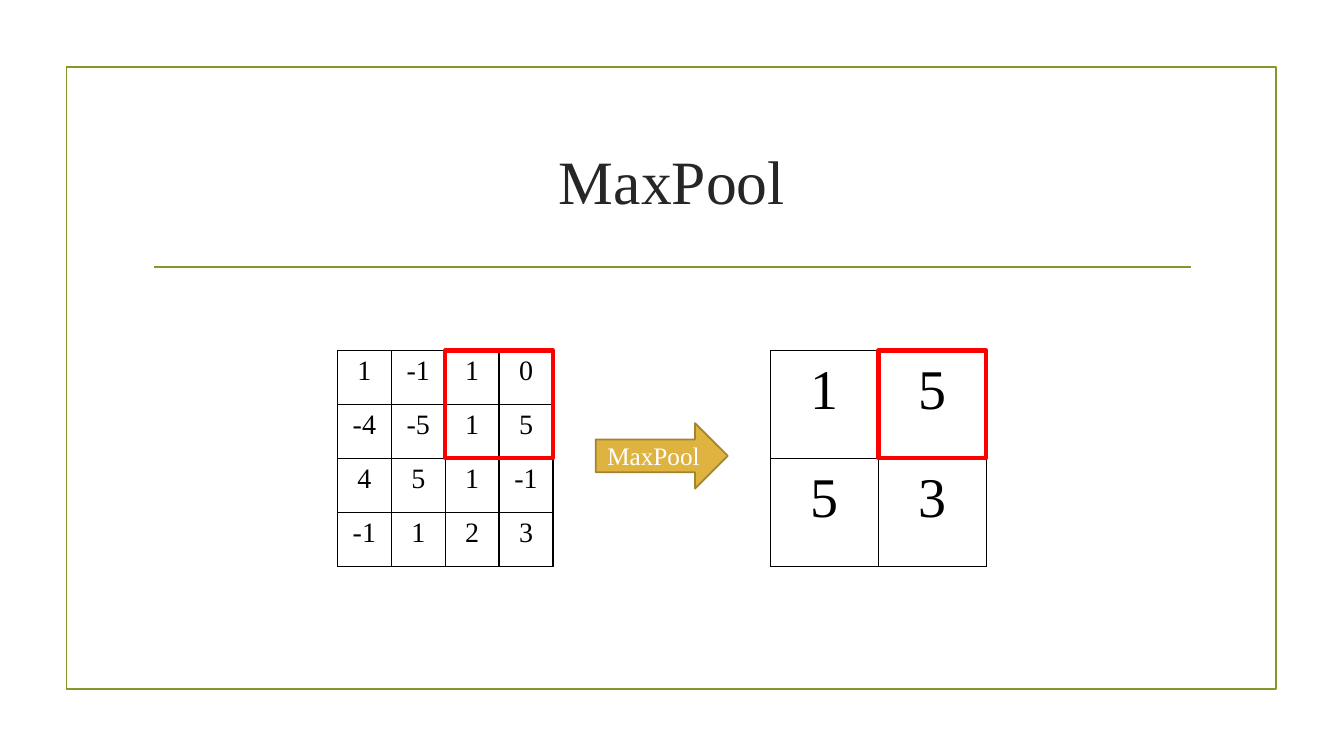
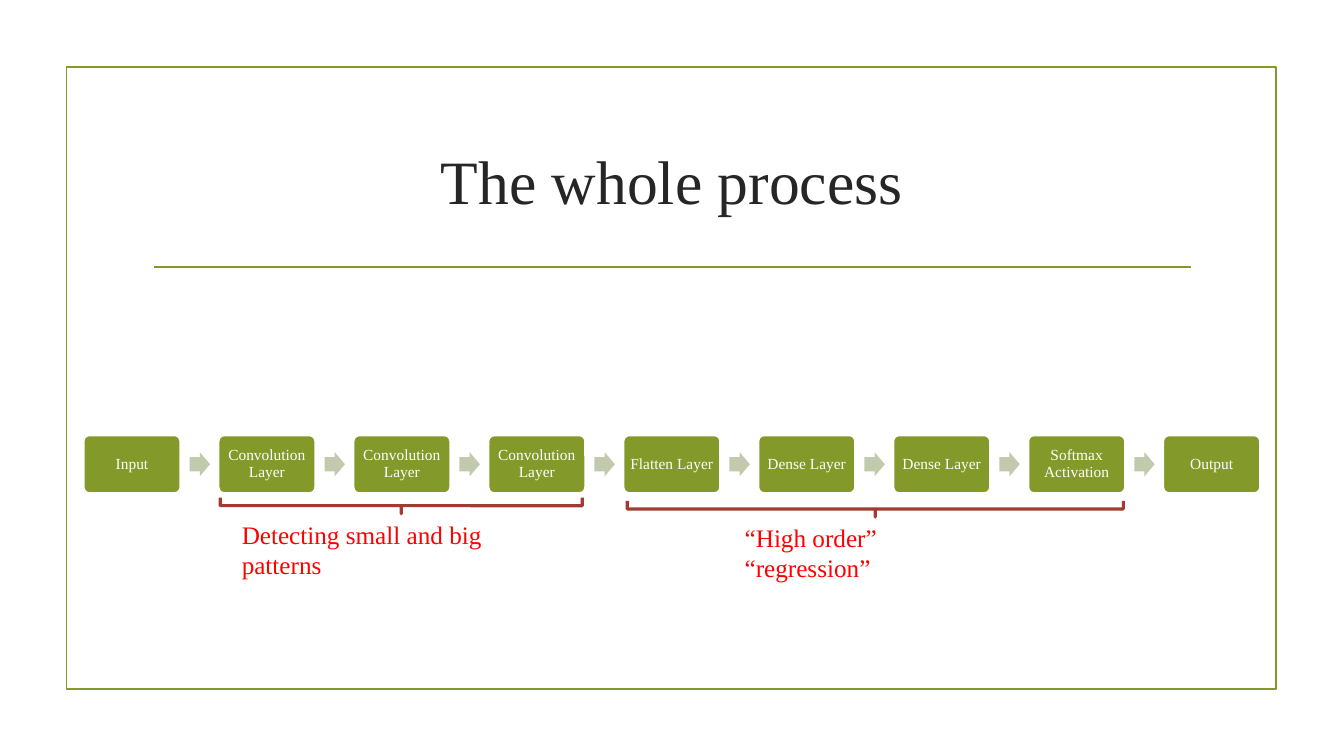
from dataclasses import dataclass

import pptx
import pptx.dml.color
import pptx.enum.shapes
import pptx.enum.text
import pptx.oxml
import pptx.oxml.ns
import pptx.util

Pt = pptx.util.Pt
KIND = pptx.enum.shapes.MSO_SHAPE
ALIGN = pptx.enum.text.PP_ALIGN
MID = pptx.enum.text.MSO_ANCHOR.MIDDLE

# Shared look
FACE = "Times New Roman"
GREEN, PALE, GOLD, BRONZE = "83992A", "C1CAAD", "DEB340", "A4842F"
RED, RUST, INK, BLACK, WHITE = "FF0000", "A23C33", "262626", "000000", "FFFFFF"


@dataclass
class Box:
    left: float
    top: float
    width: float
    height: float

    def lengths(self) -> tuple:
        return Pt(self.left), Pt(self.top), Pt(self.width), Pt(self.height)


@dataclass
class Grid:
    left: float
    top: float
    cell: float
    size: int
    pad: tuple
    rows: list


@dataclass
class Brace:
    mid: float
    top: float
    span: float
    note: str
    area: Box


def color(code: str) -> pptx.dml.color.RGBColor:
    return pptx.dml.color.RGBColor.from_string(code)


def write(frame, text: str, size: int, code: str, align=ALIGN.CENTER):
    """Put one styled paragraph into a text frame."""
    frame.word_wrap = True
    para = frame.paragraphs[0]
    para.text = text
    para.alignment = align
    para.font.name = FACE
    para.font.size = Pt(size)
    para.font.color.rgb = color(code)
    return para


def label(slide, box: Box, text: str, size: int, code: str, align=ALIGN.CENTER):
    frame = slide.shapes.add_textbox(*box.lengths()).text_frame
    write(frame, text, size, code, align)
    return frame


def shape(slide, kind, box: Box, fill: str = "", line: str = "", weight: float = 1.25):
    item = slide.shapes.add_shape(kind, *box.lengths())
    item.shadow.inherit = False
    if fill:
        item.fill.solid()
        item.fill.fore_color.rgb = color(fill)
    else:
        item.fill.background()
    if line:
        item.line.color.rgb = color(line)
        item.line.width = Pt(weight)
    else:
        item.line.fill.background()
    return item


def start(deck, title: str):
    """Add a slide with its frame, rule and title."""
    slide = deck.slides.add_slide(deck.slide_layouts[6])
    shape(slide, KIND.RECTANGLE, Box(47.6, 48, 864, 444.4), line=GREEN)
    rule = slide.shapes.add_connector(
        pptx.enum.shapes.MSO_CONNECTOR.STRAIGHT, Pt(110), Pt(190.8), Pt(850.4), Pt(190.8))
    rule.line.color.rgb = color(GREEN)
    rule.line.width = Pt(1.25)
    props = rule._element.spPr
    props.append(props.makeelement(pptx.oxml.ns.qn("a:effectLst"), {}))
    frame = label(slide, Box(102, 77, 756, 103), title, 44, INK)
    frame.vertical_anchor = MID
    return slide


def edge(cell) -> None:
    """Give a cell thin black borders, placed ahead of its fill."""
    props = cell._tc.get_or_add_tcPr()
    for spot, side in enumerate(("lnL", "lnR", "lnT", "lnB")):
        props.insert(spot, pptx.oxml.parse_xml(
            f'<a:{side} {pptx.oxml.ns.nsdecls("a")} w="12700"><a:solidFill>'
            f'<a:srgbClr val="{BLACK}"/></a:solidFill></a:{side}>'))


def matrix(slide, grid: Grid) -> None:
    count = len(grid.rows)
    side = grid.cell * count
    box = Box(grid.left, grid.top, side, side)
    table = slide.shapes.add_table(count, count, *box.lengths()).table
    table.first_row = table.horz_banding = False
    for i, row in enumerate(grid.rows):
        table.rows[i].height = table.columns[i].width = Pt(grid.cell)
        for j, value in enumerate(row):
            cell = table.cell(i, j)
            cell.margin_left = cell.margin_right = Pt(grid.pad[0])
            cell.margin_top = cell.margin_bottom = Pt(grid.pad[1])
            cell.fill.solid()
            cell.fill.fore_color.rgb = color(WHITE)
            write(cell.text_frame, str(value), grid.size, BLACK)
            edge(cell)


def mark(slide, grid: Grid) -> None:
    """Outline the top right quarter of a grid in red."""
    half = grid.cell * len(grid.rows) / 2
    shape(slide, KIND.RECTANGLE, Box(grid.left + half, grid.top, half, half),
          line=RED, weight=3)


def pool(deck) -> None:
    slide = start(deck, "MaxPool")
    source = Grid(241, 250.4, 38.5, 20, (6.5, 3.6),
                  [[1, -1, 1, 0], [-4, -5, 1, 5], [4, 5, 1, -1], [-1, 1, 2, 3]])
    result = Grid(550.5, 250.4, 77, 40, (13, 6.5), [[1, 5], [5, 3]])
    for grid in (source, result):
        matrix(slide, grid)
        mark(slide, grid)
    arrow = shape(slide, KIND.RIGHT_ARROW, Box(425.5, 302.2, 94.4, 46.8), GOLD, BRONZE)
    arrow.text_frame.vertical_anchor = MID
    write(arrow.text_frame, "MaxPool", 18, WHITE)


def process(deck) -> None:
    slide = start(deck, "The whole process")

    # Chain of layers
    steps = (["Input"] + ["Convolution Layer"] * 3 + ["Flatten Layer"]
             + ["Dense Layer"] * 2 + ["Softmax Activation", "Output"])
    left, pitch, mid = 59.8, 96.4, 331.6
    for i, name in enumerate(steps):
        spot = left + i * pitch
        card = shape(slide, KIND.ROUNDED_RECTANGLE,
                     Box(spot, mid - 20.6, 69, 41.2), GREEN, WHITE)
        card.adjustments[0] = 0.1
        frame = card.text_frame
        frame.margin_left = frame.margin_right = Pt(2.8)
        frame.margin_top = frame.margin_bottom = Pt(3.6)
        frame.vertical_anchor = MID
        write(frame, name, 11, WHITE).line_spacing = 0.9
        if i < len(steps) - 1:
            arrow = shape(slide, KIND.RIGHT_ARROW,
                          Box(spot + 75.6, mid - 8.6, 14.6, 17.2), PALE)
            arrow.adjustments[0] = 0.6

    # Braces and their notes
    thick = 11.6
    for brace in (
        Brace(286.6, 355.4, 258.6, "Detecting small and big patterns",
              Box(165.6, 367.2, 240, 50)),
        Brace(625.2, 357.8, 354.4, "“High order” “regression”",
              Box(524.8, 369.6, 198, 50)),
    ):
        box = Box(brace.mid - thick / 2, brace.top + (thick - brace.span) / 2,
                  thick, brace.span)
        item = shape(slide, KIND.RIGHT_BRACE, box, line=RUST, weight=2.25)
        item.rotation = 90
        item.adjustments[0] = 0
        item.adjustments[1] = 0.5
        label(slide, brace.area, brace.note, 18, RED, ALIGN.LEFT)


def main() -> None:
    deck = pptx.Presentation()
    deck.slide_width, deck.slide_height = Pt(960), Pt(540)
    pool(deck)
    process(deck)
    deck.save("out.pptx")


if __name__ == "__main__":
    main()
